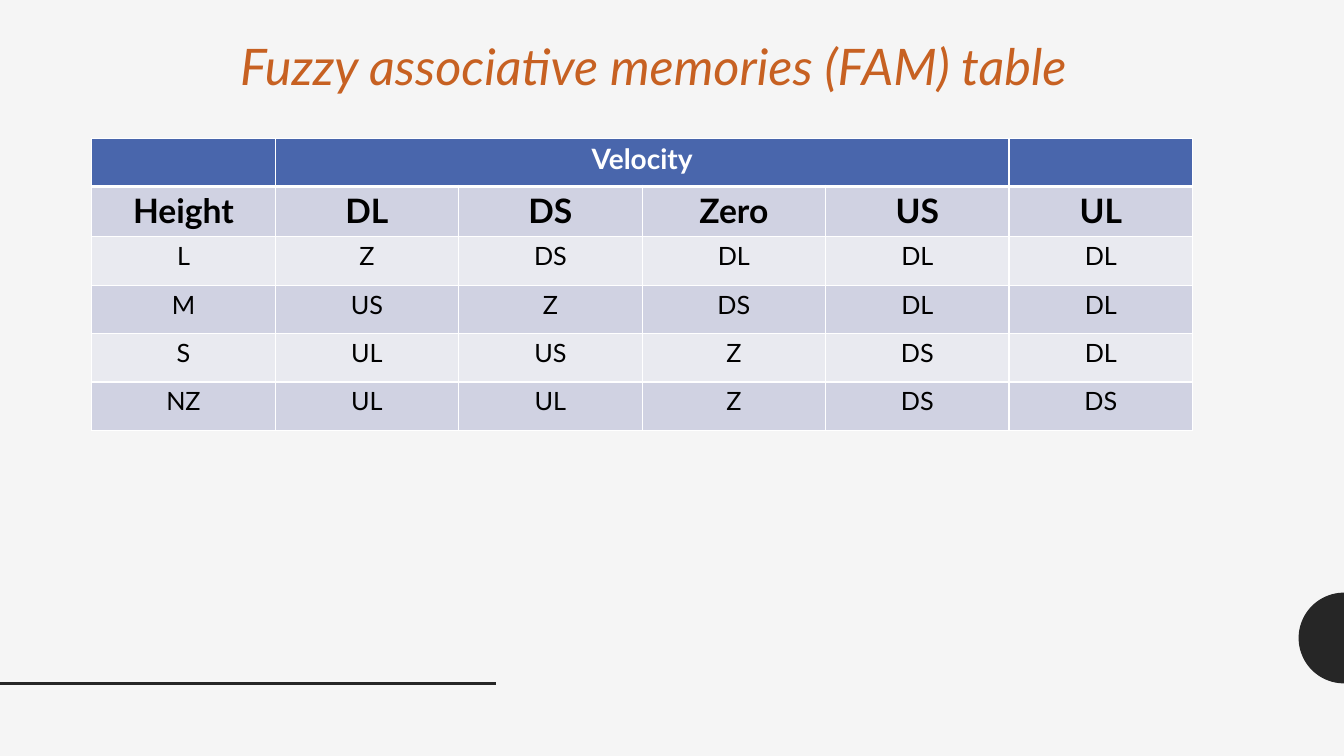
from math import cos, pi, sin

from lxml.etree import SubElement
from pptx import Presentation
from pptx.dml.color import RGBColor
from pptx.enum.shapes import MSO_CONNECTOR
from pptx.enum.text import PP_ALIGN
from pptx.oxml.ns import qn
from pptx.util import Inches, Pt

COLORS = {
    "page": "F5F5F5",
    "dark": "262626",
    "title": "C76122",
    "header": "4966AC",
    "band": "D0D2E2",
    "light": "E9EAF0",
    "white": "FFFFFF",
    "black": "000000",
}

FAM_ROWS = [
    ["", "Velocity", "", "", "", ""],
    ["Height", "DL", "DS", "Zero", "US", "UL"],
    ["L", "Z", "DS", "DL", "DL", "DL"],
    ["M", "US", "Z", "DS", "DL", "DL"],
    ["S", "UL", "US", "Z", "DS", "DL"],
    ["NZ", "UL", "UL", "Z", "DS", "DS"],
]


def color(name):
    return RGBColor.from_string(COLORS[name])


def write_text(frame, text, size=18, ink="black", bold=False, italic=False,
               align=PP_ALIGN.CENTER, before=3, top=0.04, font="Lato"):
    frame.margin_left = frame.margin_right = frame.margin_bottom = 0
    frame.margin_top = Inches(top)
    para = frame.paragraphs[0]
    para.alignment = align
    para.space_before = Pt(before)
    span = para.add_run()
    span.text = text
    span.font.name = font
    span.font.size = Pt(size)
    span.font.bold = bold
    span.font.italic = italic
    span.font.color.rgb = color(ink)


class SlideBuilder:
    def __init__(self, page):
        self.page = page
        fill = page.background.fill
        fill.solid()
        fill.fore_color.rgb = color("page")

    def half_disc(self, center_x, center_y, radius, steps=48):
        angles = [pi / 2 + pi * step / steps for step in range(steps + 1)]
        points = [(Inches(center_x + radius * cos(angle)),
                   Inches(center_y + radius * sin(angle))) for angle in angles]
        outline = self.page.shapes.build_freeform(*points[0])
        outline.add_line_segments(points[1:], close=True)
        shape = outline.convert_to_shape()
        shape.shadow.inherit = False
        shape.fill.solid()
        shape.fill.fore_color.rgb = color("dark")
        shape.line.fill.background()

    def rule(self, left, right, y, width):
        line = self.page.shapes.add_connector(
            MSO_CONNECTOR.STRAIGHT, Inches(left), Inches(y), Inches(right), Inches(y))
        line.line.color.rgb = color("dark")
        line.line.width = Pt(width)
        SubElement(line._element.spPr, qn("a:effectLst"))

    def title(self, text, left, top, width, height):
        box = self.page.shapes.add_textbox(
            Inches(left), Inches(top), Inches(width), Inches(height))
        box.text_frame.word_wrap = True
        write_text(box.text_frame, text, size=36, ink="title", italic=True,
                   align=PP_ALIGN.RIGHT, before=1, top=0.01)

    def borders(self, cell, top, bottom):
        properties = cell._tc.get_or_add_tcPr()
        for side, width in (("L", 1), ("R", 1), ("T", top), ("B", bottom)):
            edge = SubElement(properties, qn(f"a:ln{side}"), w=str(Pt(width)))
            paint = SubElement(edge, qn("a:solidFill"))
            SubElement(paint, qn("a:srgbClr"), val=COLORS["white"])

    def fam_table(self, rows, left, top, column_width, row_heights):
        count = len(rows[0])
        table = self.page.shapes.add_table(
            len(rows), count, Inches(left), Inches(top),
            Inches(column_width * count), Inches(sum(row_heights))).table
        for column in table.columns:
            column.width = Inches(column_width)
        for index, texts in enumerate(rows):
            table.rows[index].height = Inches(row_heights[index])
            band = "header" if index == 0 else "band" if index % 2 else "light"
            size = {0: 20, 1: 24}.get(index, 18)
            for position, text in enumerate(texts):
                cell = table.cell(index, position)
                # The header row is set off by a thicker line
                self.borders(cell, top=3 if index == 1 else 1,
                             bottom=3 if index == 0 else 1)
                cell.fill.solid()
                cell.fill.fore_color.rgb = color(band)
                if text:
                    write_text(cell.text_frame, text, size=size, bold=index < 2,
                               ink="black" if index else "white")
                    cell.margin_left = cell.margin_right = cell.margin_bottom = 0
                    cell.margin_top = Inches(0.04)
        # Velocity spans four columns
        table.cell(0, 1).merge(table.cell(0, 4))


def main():
    deck = Presentation()
    deck.slide_width, deck.slide_height = Inches(13.33), Inches(7.5)
    builder = SlideBuilder(deck.slides.add_slide(deck.slide_layouts[6]))

    # Page decoration
    builder.half_disc(13.33, 6.33, 0.45)
    builder.rule(0, 4.92, 6.78, 2)

    # Title and table
    builder.title("Fuzzy associative memories (FAM) table", 1, 0.34, 9.58, 0.63)
    builder.fam_table(FAM_ROWS, 0.91, 1.37, 1.82, [0.48, 0.5] + [0.48] * 4)

    deck.save("out.pptx")


if __name__ == "__main__":
    main()
